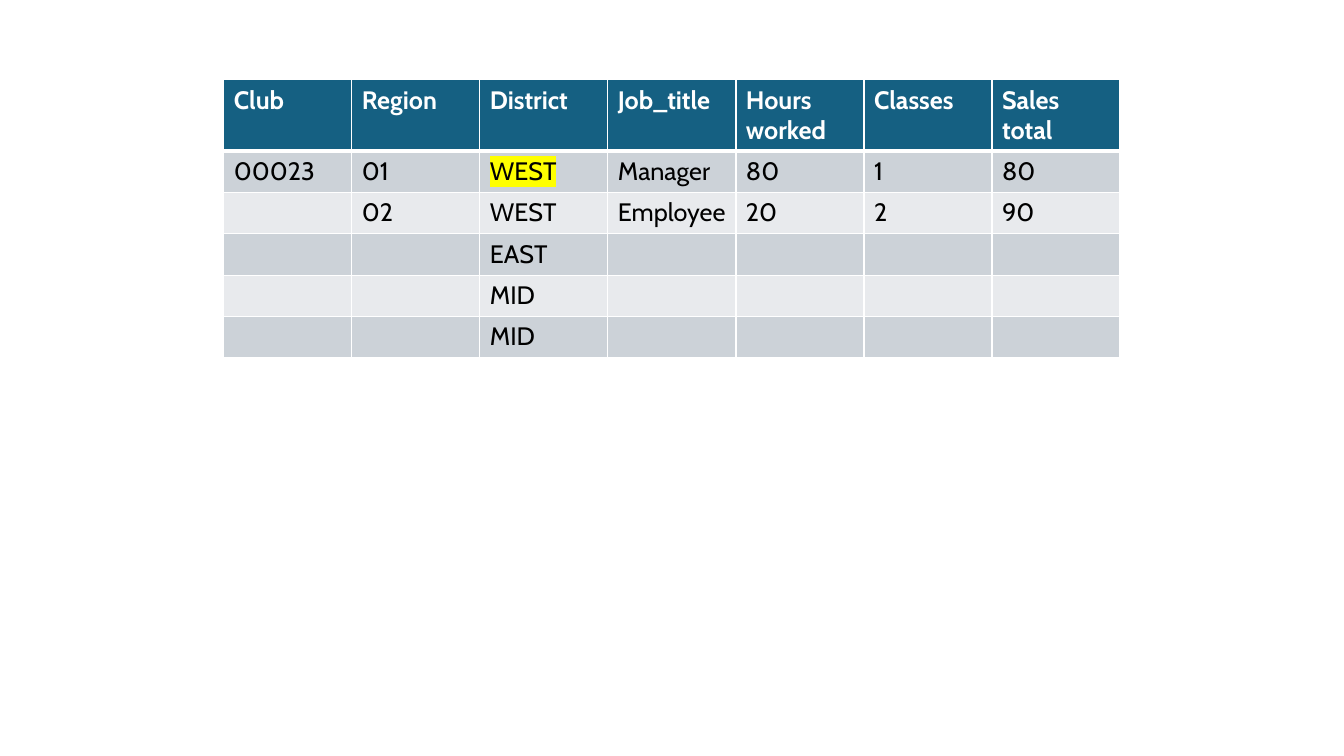
from lxml import etree
from pptx import Presentation
from pptx.dml.color import RGBColor
from pptx.oxml.ns import qn
from pptx.util import Inches, Pt

WHITE = RGBColor(0xFF, 0xFF, 0xFF)
BLACK = RGBColor(0x00, 0x00, 0x00)
HEADER_BLUE = RGBColor(0x15, 0x60, 0x82)
BAND_DARK = RGBColor(0xCC, 0xD2, 0xD8)
BAND_LIGHT = RGBColor(0xE8, 0xEA, 0xED)
YELLOW = RGBColor(0xFF, 0xFF, 0x00)

FONT = "Cabin"
TEXT_SIZE = Pt(18)
COLUMN_WIDTH = 1.27
ROW_HEIGHT = 0.41
TABLE_LEFT, TABLE_TOP, TABLE_HEIGHT = 2.22, 0.79, 2.73

ROWS = [
    ["Club", "Region", "District", "Job_title", "Hours worked", "Classes", "Sales total"],
    ["00023", "01", "WEST", "Manager", "80", "1", "80"],
    ["", "02", "WEST", "Employee", "20", "2", "90"],
    ["", "", "EAST", "", "", "", ""],
    ["", "", "MID", "", "", "", ""],
    ["", "", "MID", "", "", "", ""],
]
HIGHLIGHTED_CELL = (1, 2)


def add_solid_color(parent, color):
    """Append a colour element to an XML parent."""
    etree.SubElement(parent, qn("a:srgbClr"), val=str(color))


def set_borders(cell, widths):
    """Draw white cell borders with the given width in points per side."""
    properties = cell._tc.get_or_add_tcPr()
    for side, width in widths.items():
        line = etree.SubElement(properties, qn(f"a:ln{side}"), w=str(Pt(width)))
        add_solid_color(etree.SubElement(line, qn("a:solidFill")), WHITE)


def highlight(span, color):
    """Put a marker colour behind a run of text."""
    marker = etree.Element(qn("a:highlight"))
    add_solid_color(marker, color)
    span._r.get_or_add_rPr().find(qn("a:latin")).addprevious(marker)


def add_text(cell, text, color, bold):
    """Write one formatted run into a cell and return it."""
    span = cell.text_frame.paragraphs[0].add_run()
    span.text = text
    span.font.name = FONT
    span.font.size = TEXT_SIZE
    span.font.bold = bold
    span.font.color.rgb = color
    return span


def style_cell(cell, row_index):
    """Give a cell the borders and fill of its row."""
    top = 3 if row_index == 1 else 1
    bottom = 3 if row_index == 0 else 1
    set_borders(cell, {"L": 1, "R": 1, "T": top, "B": bottom})
    cell.fill.solid()
    band = BAND_DARK if row_index % 2 else BAND_LIGHT
    cell.fill.fore_color.rgb = band if row_index else HEADER_BLUE


def add_club_table(page):
    """Add the club table with its header and banded rows."""
    column_count = len(ROWS[0])
    frame = page.shapes.add_table(
        len(ROWS), column_count, Inches(TABLE_LEFT), Inches(TABLE_TOP),
        Inches(COLUMN_WIDTH * column_count), Inches(TABLE_HEIGHT))
    table = frame.table
    for column in table.columns:
        column.width = Inches(COLUMN_WIDTH)
    for row_index, texts in enumerate(ROWS):
        table.rows[row_index].height = Inches(ROW_HEIGHT)
        is_header = row_index == 0
        for column_index, text in enumerate(texts):
            cell = table.cell(row_index, column_index)
            style_cell(cell, row_index)
            if text:
                span = add_text(cell, text, WHITE if is_header else BLACK, is_header)
                if (row_index, column_index) == HIGHLIGHTED_CELL:
                    highlight(span, YELLOW)
    frame.height = Inches(TABLE_HEIGHT)


def main():
    """Build the deck and save it."""
    deck = Presentation()
    deck.slide_width = Inches(13.33)
    deck.slide_height = Inches(7.5)
    page = deck.slides.add_slide(deck.slide_layouts.get_by_name("Blank"))
    add_club_table(page)
    deck.save("out.pptx")


if __name__ == "__main__":
    main()
